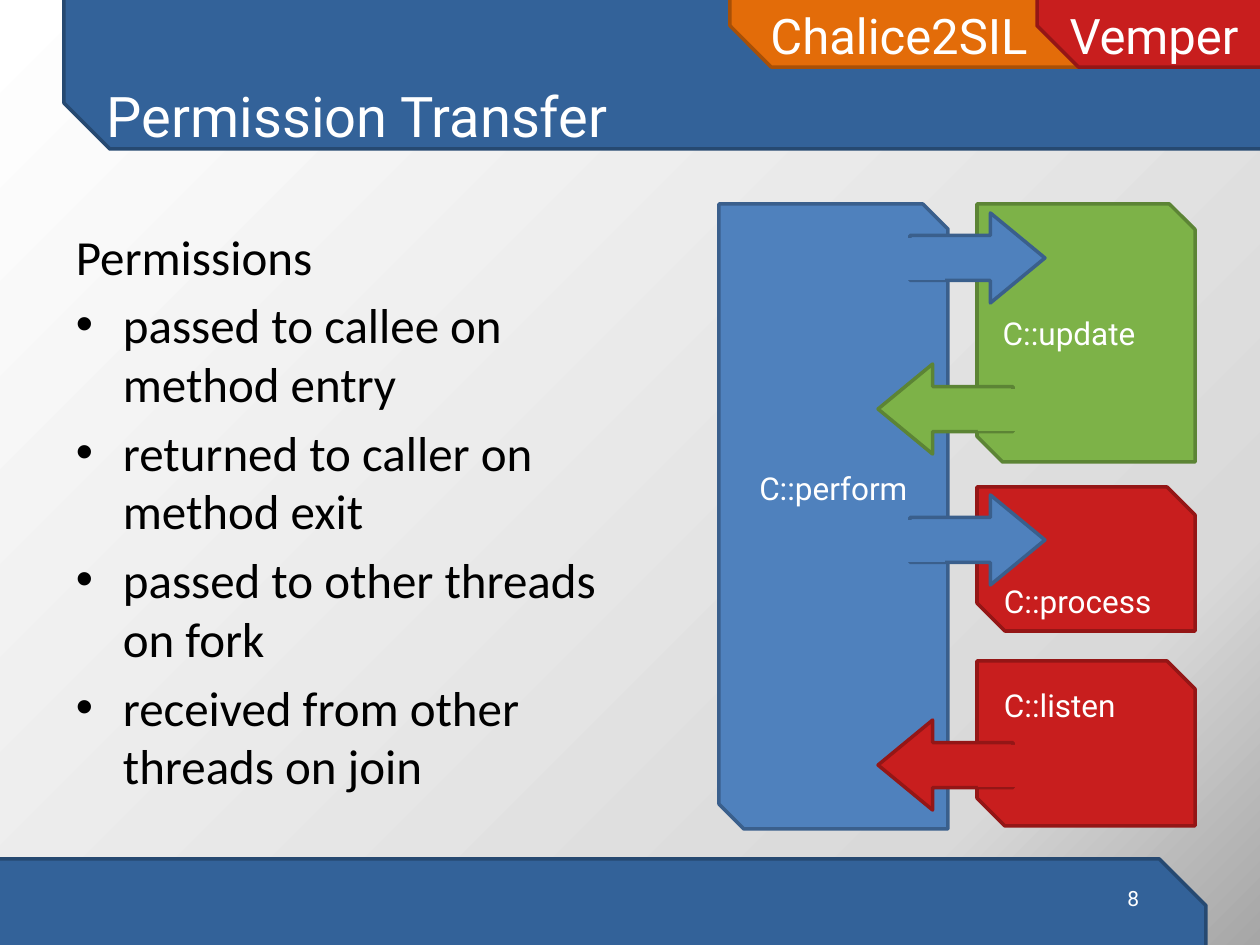
"""Builds the Permission Transfer slide."""
import copy
import dataclasses

import lxml.etree
import pptx
import pptx.dml.color
import pptx.enum.shapes
import pptx.enum.text
import pptx.oxml.ns
import pptx.util

SHAPE = pptx.enum.shapes.MSO_SHAPE
ALIGN = pptx.enum.text.PP_ALIGN
ANCHOR = pptx.enum.text.MSO_ANCHOR
PAD = (13, 6, 13, 6)


@dataclasses.dataclass(frozen=True)
class Theme:
    head: str = "Roboto"
    text: str = "Calibri"
    title: int = 32
    large: int = 28
    label: int = 18
    small: int = 12
    white: str = "FFFFFF"
    black: str = "000000"
    navy: tuple = ("336299", "264971")
    orange: tuple = ("E36C09", "A85007")
    red: tuple = ("C81E1E", "941616")
    blue: tuple = ("4F81BD", "3A5F8C")
    green: tuple = ("7DB248", "5C8435")
    fade: tuple = ((0, "FFFFFF"), (0.81, "D9D9D9"), (1, "A6A6A6"))


def px(num):
    return pptx.util.Emu(round(num * 914400 / 126))


def rgb(code):
    return pptx.dml.color.RGBColor.from_string(code)


class Deck:
    def __init__(self, theme):
        self.theme = theme
        self.prs = pptx.Presentation()
        self.prs.slide_width = px(1260)
        self.prs.slide_height = px(945)
        self.slide = self.prs.slides.add_slide(self.prs.slide_layouts[6])

    def back(self):
        fill = self.slide.background.fill
        fill.gradient()
        fill.gradient_angle = 315
        stops = next(self.slide.element.iter(pptx.oxml.ns.qn("a:gsLst")))
        stops.insert(1, copy.deepcopy(stops[0]))
        for stop, (pos, code) in zip(fill.gradient_stops, self.theme.fade):
            stop.position = pos
            stop.color.rgb = rgb(code)

    def label(self, shape, lines, size, font=None, color=None,
              align=ALIGN.LEFT, anchor=ANCHOR.MIDDLE, pad=PAD):
        frame = shape.text_frame
        frame.word_wrap = True
        frame.vertical_anchor = anchor
        (frame.margin_left, frame.margin_top,
         frame.margin_right, frame.margin_bottom) = map(px, pad)
        frame.text = "\n".join(lines)
        for par in frame.paragraphs:
            par.alignment = align
            par.font.name = font or self.theme.head
            par.font.size = pptx.util.Pt(size)
            par.font.color.rgb = rgb(color or self.theme.white)
        return frame.paragraphs

    def text(self, box, lines, size, **style):
        shape = self.slide.shapes.add_textbox(*map(px, box))
        return self.label(shape, lines, size, **style)

    def list(self, box, lines):
        pars = self.text(box, lines, self.theme.large, font=self.theme.text,
                         color=self.theme.black, anchor=ANCHOR.TOP)
        for par in pars:
            par.space_before = pptx.util.Pt(self.theme.large * 0.2)
        for par in pars[1:]:
            props = par._p.get_or_add_pPr()
            props.set("marL", str(px(47)))
            props.set("indent", str(-px(47)))
            font = lxml.etree.SubElement(props, pptx.oxml.ns.qn("a:buFont"))
            font.set("typeface", "Arial")
            mark = lxml.etree.SubElement(props, pptx.oxml.ns.qn("a:buChar"))
            mark.set("char", "•")
            props.append(props.find(pptx.oxml.ns.qn("a:defRPr")))

    def shape(self, kind, box, hue, adjust=(), edge=True):
        shape = self.slide.shapes.add_shape(kind, *map(px, box))
        shape.shadow.inherit = False
        shape.fill.solid()
        shape.fill.fore_color.rgb = rgb(hue[0])
        if edge:
            shape.line.color.rgb = rgb(hue[1])
            shape.line.width = pptx.util.Pt(2)
        else:
            shape.line.fill.background()
        for i, value in enumerate(adjust):
            shape.adjustments[i] = value
        return shape

    def snip(self, box, hue, cut):
        return self.shape(SHAPE.SNIP_2_DIAG_RECTANGLE, box, hue, (0, cut))

    def tab(self, left, width, hue, name, pad):
        shape = self.snip((left, -108, width, 175), hue, 0.236)
        self.label(shape, [name], self.theme.large, align=ALIGN.CENTER,
                   anchor=ANCHOR.BOTTOM, pad=(0, 169, pad, 0))

    def block(self, box, hue, cut, name, pad=PAD, align=ALIGN.LEFT):
        shape = self.snip(box, hue, cut)
        self.label(shape, [name], self.theme.label, align=align, pad=pad)

    def arrow(self, top, hue, back=False):
        left, tail = (878, 978) if back else (910, 898)
        shape = self.shape(SHAPE.RIGHT_ARROW, (left, top, 135, 90), hue,
                           (0.5, 0.606))
        shape.rotation = 180 if back else 0
        self.shape(SHAPE.RECTANGLE, (tail, top + 25, 47, 42), hue, edge=False)


def main():
    theme = Theme()
    deck = Deck(theme)
    deck.back()
    deck.snip((-44, 859, 1250, 179), theme.navy, 0.26)
    deck.snip((64, -124, 1250, 273), theme.navy, 0.168)
    deck.tab(730, 377, theme.orange, "Chalice2SIL", 39)
    deck.tab(1037, 297, theme.red, "Vemper", 63)
    deck.text((94, 36, 1111, 158), ["Permission Transfer"], theme.title)
    deck.list((63, 220, 557, 624), [
        "Permissions",
        "passed to callee on method entry",
        "returned to caller on method exit",
        "passed to other threads on fork",
        "received from other threads on join",
    ])
    deck.text((858, 873, 294, 50), ["8"], theme.small, align=ALIGN.RIGHT)

    deck.block((719, 204, 229, 625), theme.blue, 0.109, "C::perform",
               (13, 6, 13, 64), ALIGN.CENTER)
    deck.block((977, 204, 218, 258), theme.green, 0.117, "C::update")
    deck.arrow(213, theme.blue)
    deck.arrow(364, theme.green, back=True)
    deck.block((977, 487, 218, 144), theme.red, 0.194, "C::process",
               (13, 89, 13, 6))
    deck.arrow(495, theme.blue)
    deck.block((977, 661, 218, 165), theme.red, 0.169, "C::listen",
               (13, 6, 13, 84))
    deck.arrow(720, theme.red, back=True)
    deck.prs.save("out.pptx")


if __name__ == "__main__":
    main()
